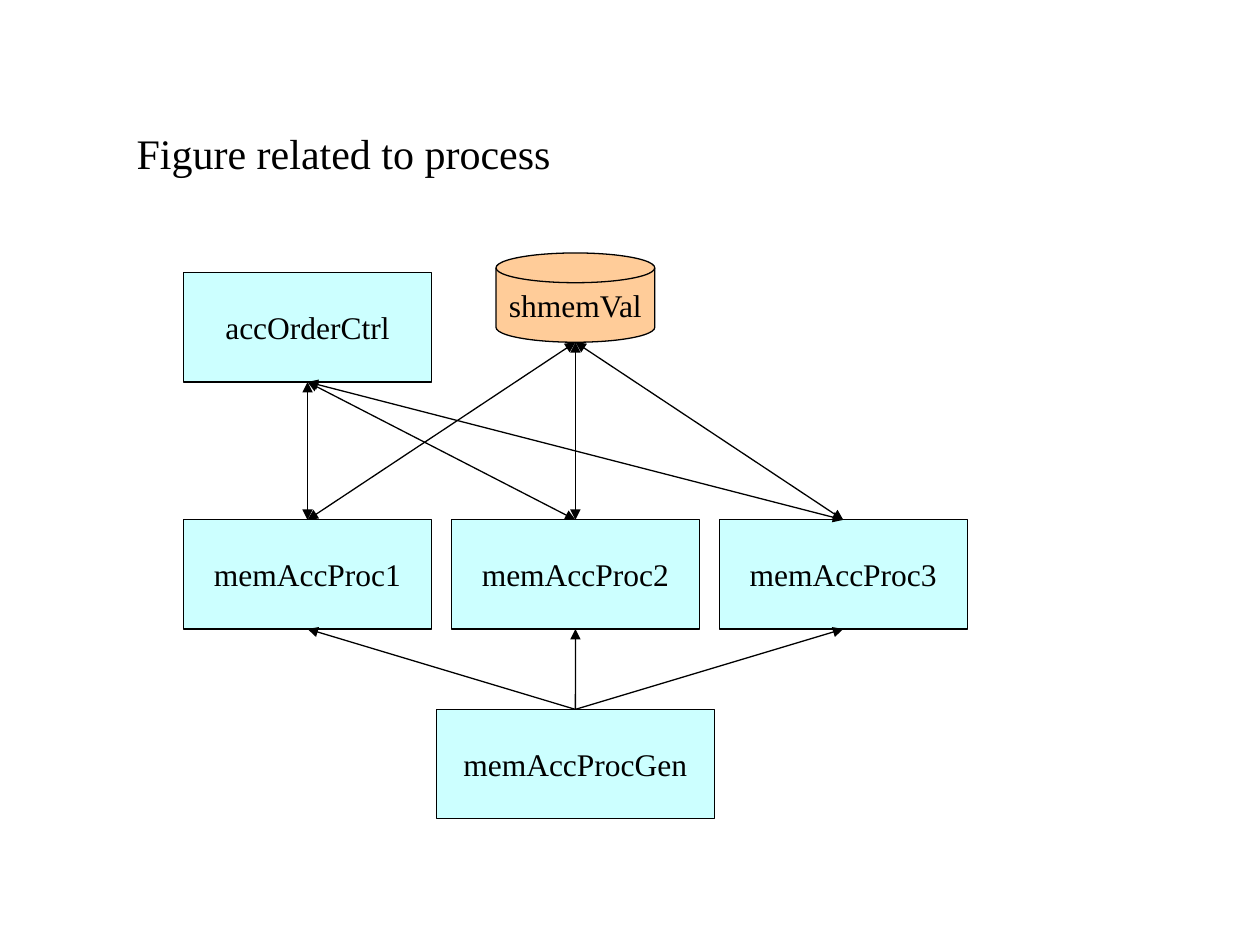
from pptx import Presentation
from pptx.dml.color import RGBColor as Rgb
from pptx.enum.shapes import MSO_CONNECTOR as Conn, MSO_SHAPE as Kind
from pptx.enum.text import MSO_ANCHOR as Anchor, MSO_AUTO_SIZE as Fit, PP_ALIGN as Align
from pptx.oxml.ns import qn
from pptx.util import Cm, Pt
from lxml.etree import SubElement as Sub

HUES = {"ink": "000000", "box": "CCFFFF", "disk": "FFCC99"}
FONT = "Times New Roman"
TOP, BOTTOM = 0, 2  # connection sites of a box


def hue(name):
    return Rgb.from_string(HUES[name])


def write(frame, text, size, align, anchor):
    frame.vertical_anchor = anchor
    para = frame.paragraphs[0]
    para.alignment = align
    run = para.add_run()
    run.text = text
    run.font.name = FONT
    run.font.size = Pt(size)
    run.font.color.rgb = hue("ink")


def add_title(slide, text):
    title = slide.shapes.title
    title.left, title.top = Cm(2.5), Cm(2.45)
    title.width, title.height = Cm(22.2), Cm(1.27)
    frame = title.text_frame
    frame.word_wrap = True
    frame.auto_size = Fit.NONE
    write(frame, text, 24, Align.LEFT, Anchor.TOP)


def add_node(slide, text, left, top, width=5, height=2.2,
             kind=Kind.FLOWCHART_PROCESS, fill="box"):
    node = slide.shapes.add_shape(kind, Cm(left), Cm(top), Cm(width), Cm(height))
    node.shadow.inherit = False
    node.fill.solid()
    node.fill.fore_color.rgb = hue(fill)
    node.line.color.rgb = hue("ink")
    node.line.width = Pt(0.75)
    node.text_frame.word_wrap = False
    write(node.text_frame, text, 18, Align.CENTER, Anchor.MIDDLE)
    return node


def add_arrow(slide, start, end, both=False):
    """Join two (node, site) pairs; a disk is met without being glued."""
    spots = [(node.left + node.width // 2,
              node.top + (node.height if site == BOTTOM else 0))
             for node, site in (start, end)]
    arrow = slide.shapes.add_connector(Conn.STRAIGHT, *spots[0], *spots[1])
    for (node, site), join in ((start, arrow.begin_connect), (end, arrow.end_connect)):
        if node.auto_shape_type == Kind.FLOWCHART_PROCESS:
            join(node, site)
    arrow.line.color.rgb = hue("ink")
    arrow.line.width = Pt(0.75)
    line = arrow.line._get_or_add_ln()
    for tip in ("a:headEnd", "a:tailEnd") if both else ("a:tailEnd",):
        Sub(line, qn(tip), type="triangle")
    Sub(arrow._element.spPr, qn("a:effectLst"))


def main():
    deck = Presentation()
    deck.slide_width, deck.slide_height = Cm(25.4), Cm(19.05)
    slide = deck.slides.add_slide(deck.slide_layouts[5])
    add_title(slide, "Figure related to process")

    # Shared memory and order control
    disk = add_node(slide, "shmemVal", 10, 5.1, 3.2, 1.8,
                    Kind.FLOWCHART_MAGNETIC_DISK, "disk")
    ctrl = add_node(slide, "accOrderCtrl", 3.7, 5.5)

    # Access processes and their generator
    procs = [add_node(slide, f"memAccProc{i + 1}", 3.7 + 5.4 * i, 10.48)
             for i in range(3)]
    gen = add_node(slide, "memAccProcGen", 8.8, 14.3, 5.6)

    # Links of each process
    for proc in procs:
        add_arrow(slide, (gen, TOP), (proc, BOTTOM))
        for hub in (disk, ctrl):
            add_arrow(slide, (proc, TOP), (hub, BOTTOM), both=True)

    deck.save("out.pptx")


if __name__ == "__main__":
    main()
